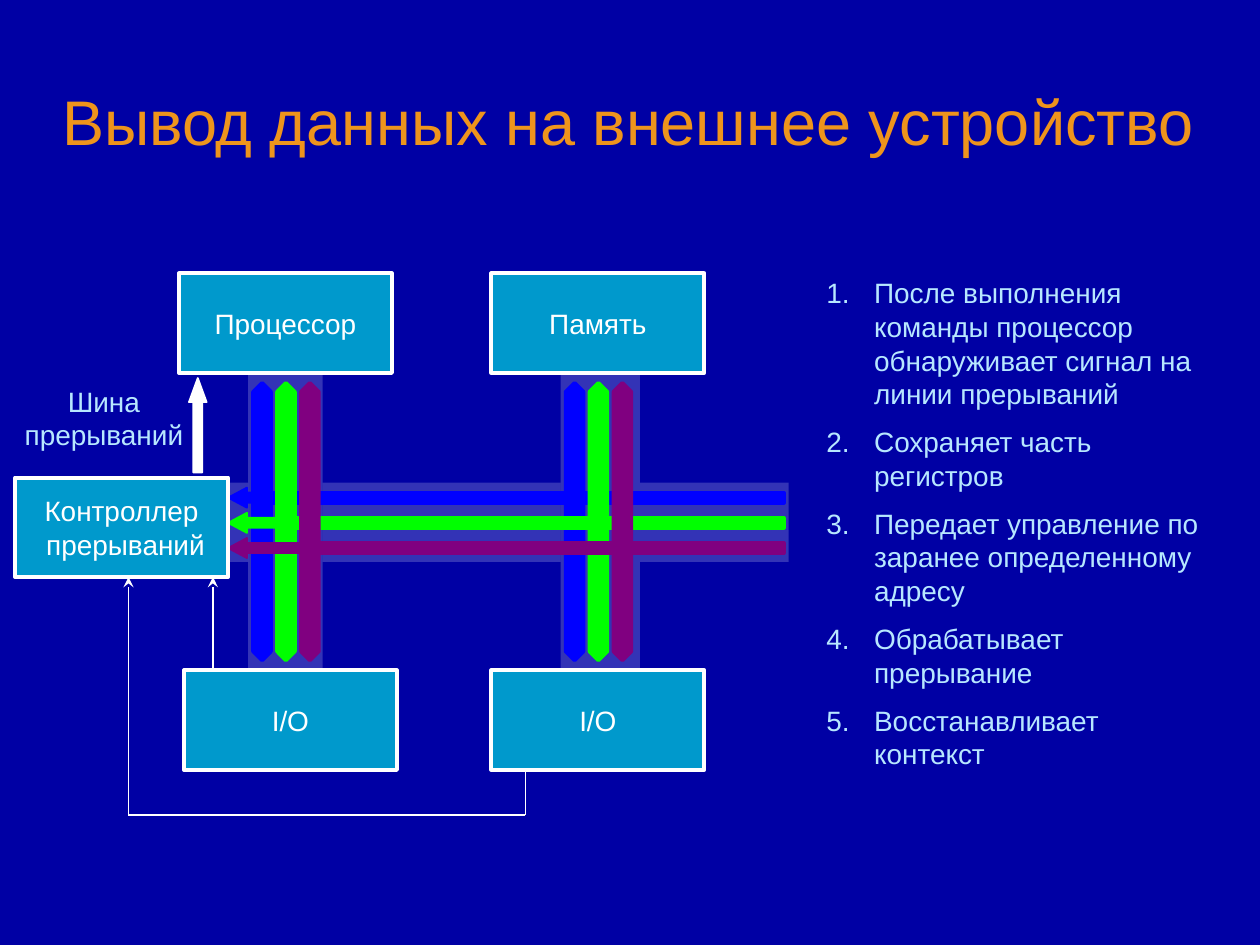
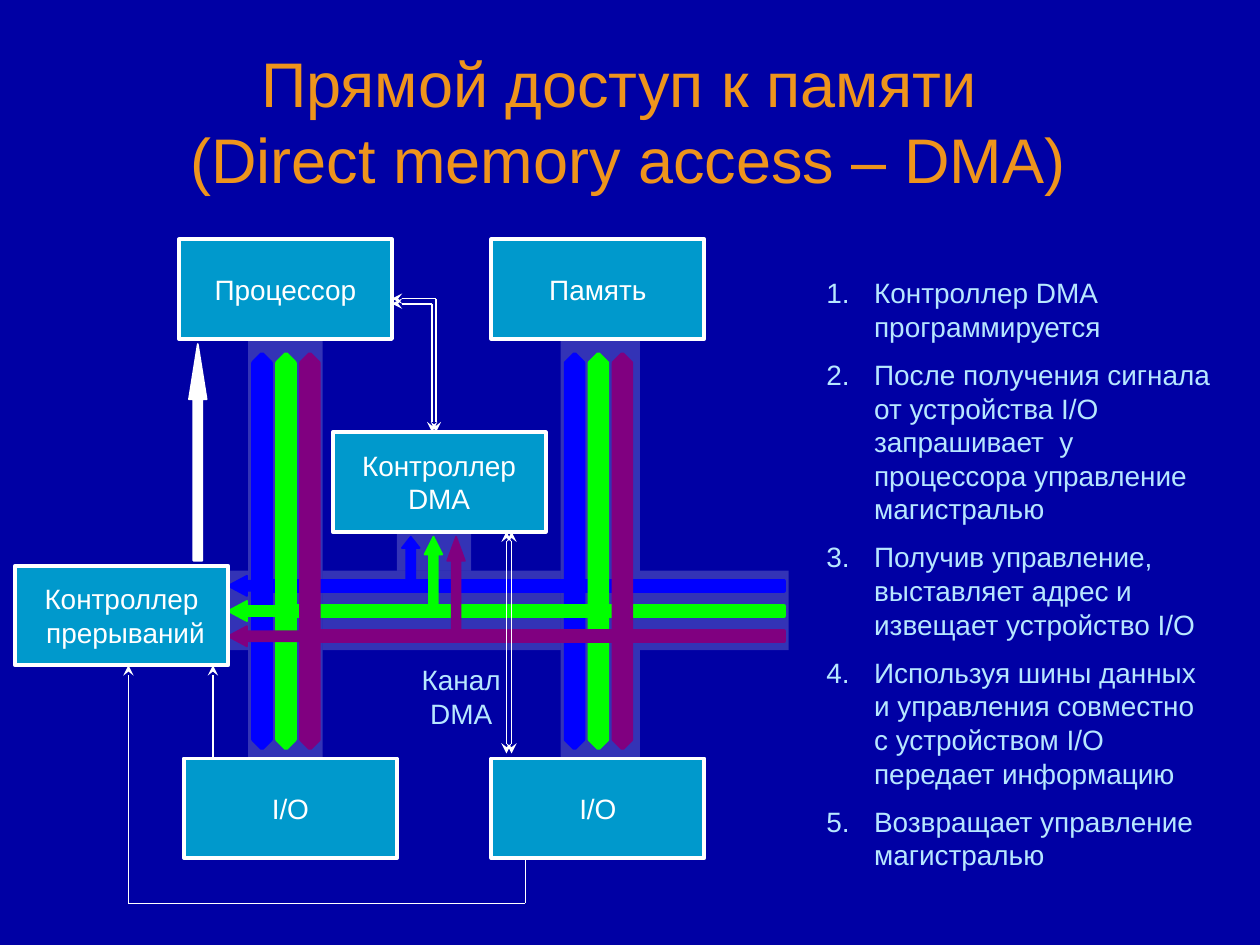
from pptx import Presentation
from pptx.dml.color import RGBColor
from pptx.enum.shapes import MSO_CONNECTOR, MSO_SHAPE
from pptx.enum.text import MSO_ANCHOR, PP_ALIGN
from pptx.oxml.ns import qn
from pptx.util import Inches, Pt
from lxml import etree

NAVY = RGBColor(0x00, 0x00, 0xA4)
ORANGE = RGBColor(0xEE, 0x94, 0x1C)
PALE_BLUE = RGBColor(0xB7, 0xE7, 0xFF)
TEAL = RGBColor(0x00, 0x99, 0xCC)
WHITE = RGBColor(0xFF, 0xFF, 0xFF)
BLUE = RGBColor(0x00, 0x00, 0xFF)
GREEN = RGBColor(0x00, 0xFF, 0x00)
PURPLE = RGBColor(0x80, 0x00, 0x80)
LANES = (BLUE, GREEN, PURPLE)

RECTANGLE = MSO_SHAPE.RECTANGLE
UP_ARROW = MSO_SHAPE.UP_ARROW
LEFT_ARROW = MSO_SHAPE.LEFT_ARROW
UP_DOWN_ARROW = MSO_SHAPE.UP_DOWN_ARROW
STRAIGHT = MSO_CONNECTOR.STRAIGHT
CENTER = PP_ALIGN.CENTER
MIDDLE = MSO_ANCHOR.MIDDLE

FONT = "Arial"
UNIT_WIDTH, UNIT_HEIGHT = 1.69, 0.79
ARROW_WIDTH = 0.14
BUS_PITCH = 0.2
BUS_HEIGHT = 0.63

INTERRUPT_STEPS = (
    "После выполнения команды процессор обнаруживает сигнал на линии прерываний",
    "Сохраняет часть регистров",
    "Передает управление по заранее определенному адресу",
    "Обрабатывает прерывание",
    "Восстанавливает контекст",
)
DMA_STEPS = (
    "Контроллер DMA программируется",
    "После получения сигнала от устройства I/O запрашивает  у процессора управление магистралью",
    "Получив управление, выставляет адрес и извещает устройство I/O",
    "Используя шины данных и управления совместно с устройством I/O передает информацию",
    "Возвращает управление магистралью",
)


def style_paragraph(paragraph, size, color, align=None):
    """Set the font of every run and the alignment of a paragraph."""
    paragraph.alignment = align
    for run in paragraph.runs:
        run.font.name = FONT
        run.font.size = Pt(size)
        run.font.color.rgb = color


def add_block(page, kind, left, top, width, height, color, line_color=None, line_width=1):
    """Add a filled shape with an optional outline."""
    block = page.shapes.add_shape(kind, Inches(left), Inches(top), Inches(width), Inches(height))
    block.shadow.inherit = False
    block.fill.solid()
    block.fill.fore_color.rgb = color
    if line_color is None:
        block.line.fill.background()
    else:
        block.line.color.rgb = line_color
        block.line.width = Pt(line_width)
    return block


def add_band(page, left, top, width, height):
    """Add a translucent white stretch of the bus."""
    band = add_block(page, RECTANGLE, left, top, width, height, WHITE)
    color = band._element.spPr.find(".//" + qn("a:srgbClr"))
    etree.SubElement(color, qn("a:alpha"), val="20000")


def add_arrow(page, kind, left, top, width, height, color, line_width=1):
    """Add a block arrow whose head takes a fixed share of its length."""
    arrow = add_block(page, kind, left, top, width, height, color, color, line_width)
    share = 0.2045 if kind == UP_DOWN_ARROW else 0.255
    arrow.adjustments[0] = 0.5
    arrow.adjustments[1] = share * max(width, height) / min(width, height)


def add_unit(page, left, top, text):
    """Add a labelled hardware unit."""
    unit = add_block(page, RECTANGLE, left, top, UNIT_WIDTH, UNIT_HEIGHT, TEAL, WHITE, 2.25)
    frame = unit.text_frame
    frame.word_wrap = False
    frame.vertical_anchor = MIDDLE
    frame.text = text
    style_paragraph(frame.paragraphs[0], 16, WHITE, CENTER)


def add_wire(page, start, end, ends=()):
    """Add a thin white line with stealth heads at the named ends."""
    wire = page.shapes.add_connector(STRAIGHT, *map(Inches, start + end))
    wire.line.color.rgb = WHITE
    wire.line.width = Pt(1)
    properties = wire._element.spPr
    for name in ends:
        etree.SubElement(properties.find(qn("a:ln")), qn(name), type="stealth")
    etree.SubElement(properties, qn("a:effectLst"))


def add_text(page, left, top, width, height, text, size, color):
    """Add a wrapping, centred text box and return its frame."""
    box = page.shapes.add_textbox(Inches(left), Inches(top), Inches(width), Inches(height))
    frame = box.text_frame
    frame.word_wrap = True
    frame.text = text
    for paragraph in frame.paragraphs:
        style_paragraph(paragraph, size, color, CENTER)
    return frame


def draw_steps(page, left, top, width, height, steps):
    """Write the numbered steps beside the diagram."""
    frame = add_text(page, left, top, width, height, "\n".join(steps), 16, PALE_BLUE)
    for number, paragraph in enumerate(frame.paragraphs):
        paragraph.alignment = PP_ALIGN.LEFT
        if number:
            paragraph.space_before = Pt(8.3)
        properties = paragraph._p.get_or_add_pPr()
        properties.set("marL", str(Inches(0.38)))
        properties.set("indent", str(-Inches(0.38)))
        etree.SubElement(properties, qn("a:buFont"), typeface=FONT)
        etree.SubElement(properties, qn("a:buAutoNum"), type="arabicPeriod")


def draw_bus(page, left, bus_top, column_top, column_bottom, gap):
    """Draw the shared bus and its two columns, lane by lane."""
    for offset, width in ((1.65, 0.2), (2.44, 1.89), (4.96, 1.18)):
        add_band(page, left + offset, bus_top, width, BUS_HEIGHT)
    for offset, width in ((1.85, 0.59), (4.33, 0.63)):
        add_band(page, left + offset, column_top, width, column_bottom - column_top)
    arrow_top = column_top + gap
    arrow_height = column_bottom - 0.08 - arrow_top
    for lane, color in enumerate(LANES):
        shift = lane * BUS_PITCH
        add_arrow(page, LEFT_ARROW, left + 1.69, bus_top + 0.04 + shift, 0.59, 0.16, color)
        add_block(page, RECTANGLE, left + 1.93 + shift, bus_top + 0.08 + shift,
                  4.17 - shift, 0.08, color, color, 2.25)
        for offset in (1.89, 4.37):
            add_arrow(page, UP_DOWN_ARROW, left + offset + lane * 0.19, arrow_top,
                      ARROW_WIDTH, arrow_height, color, 2.25)


def draw_machine(page, left, top, controller_top, gap):
    """Draw processor, memory, devices, bus and interrupt lines."""
    units_bottom = top + UNIT_HEIGHT
    controller_bottom = controller_top + UNIT_HEIGHT
    device_top = controller_top + 1.53
    device_bottom = device_top + UNIT_HEIGHT
    return_line = device_bottom + 0.36
    draw_bus(page, left, controller_top + 0.04, units_bottom, device_top, gap)
    add_unit(page, left + 1.3, top, "Процессор")
    add_unit(page, left + 3.78, top, "Память")
    add_unit(page, left, controller_top, "Контроллер\v прерываний")
    add_unit(page, left + 1.34, device_top, "I/O")
    add_unit(page, left + 3.78, device_top, "I/O")
    add_arrow(page, UP_ARROW, left + 1.38, units_bottom + 0.04, ARROW_WIDTH,
              controller_top - units_bottom - 0.08, WHITE)
    far_x, near_x, entry_x = left + 4.05, left + 1.57, left + 0.9
    add_wire(page, (far_x, device_bottom), (far_x, return_line))
    add_wire(page, (far_x, return_line), (entry_x, return_line))
    add_wire(page, (entry_x, return_line), (entry_x, controller_bottom), ("a:tailEnd",))
    add_wire(page, (near_x, device_top), (near_x, controller_bottom), ("a:tailEnd",))


def draw_dma(page, left, top, bus_top, device_top):
    """Draw the DMA controller with its bus tap, request lines and channel."""
    dma_top = top + 1.53
    dma_bottom = dma_top + UNIT_HEIGHT
    add_unit(page, left + 2.52, dma_top, "Контроллер\vDMA")
    add_band(page, left + 3.03, dma_bottom, 0.59, bus_top - dma_bottom)
    for lane, color in enumerate(LANES):
        add_arrow(page, UP_ARROW, left + 3.07 + lane * 0.18, dma_bottom + 0.04,
                  ARROW_WIDTH, 0.35 + lane * BUS_PITCH, color)
    for x in (left + 3.9, left + 3.94):
        add_wire(page, (x, device_top - 0.04), (x, dma_bottom), ("a:headEnd", "a:tailEnd"))
    for x, y in ((left + 3.31, top + 0.51), (left + 3.34, top + 0.47)):
        for end in ((left + 2.99, y), (x, dma_top)):
            add_wire(page, (x, y), end, ("a:tailEnd",))
    add_text(page, left + 3.07, bus_top + 0.68, 0.94, 0.64, "Канал DMA", 16, PALE_BLUE)


def start_page(deck, title, steps, steps_height):
    """Add a page with the shared background, title and step list."""
    page = deck.slides.add_slide(deck.slide_layouts[6])
    page.background.fill.solid()
    page.background.fill.fore_color.rgb = NAVY
    add_text(page, 0.33, 0.25, 9.31, 1.41, title, 36, ORANGE).vertical_anchor = MIDDLE
    draw_steps(page, 6.46, 2.14, 3.27, steps_height, steps)
    return page


def main():
    """Build both slides and save the deck."""
    deck = Presentation()
    deck.slide_width, deck.slide_height = Inches(10), Inches(7.5)

    output_page = start_page(deck, "Вывод данных на внешнее устройство", INTERRUPT_STEPS, 4.11)
    draw_machine(output_page, 0.12, 2.17, 3.79, 0.08)
    add_text(output_page, 0, 3, 1.65, 0.64, "Шина\vпрерываний", 16, PALE_BLUE)

    dma_page = start_page(deck, "Прямой доступ к памяти \v(Direct memory access – DMA)",
                          DMA_STEPS, 4.91)
    draw_machine(dma_page, 0.12, 1.9, 4.49, 0.12)
    draw_dma(dma_page, 0.12, 1.9, 4.53, 6.02)

    deck.save("out.pptx")


if __name__ == "__main__":
    main()
